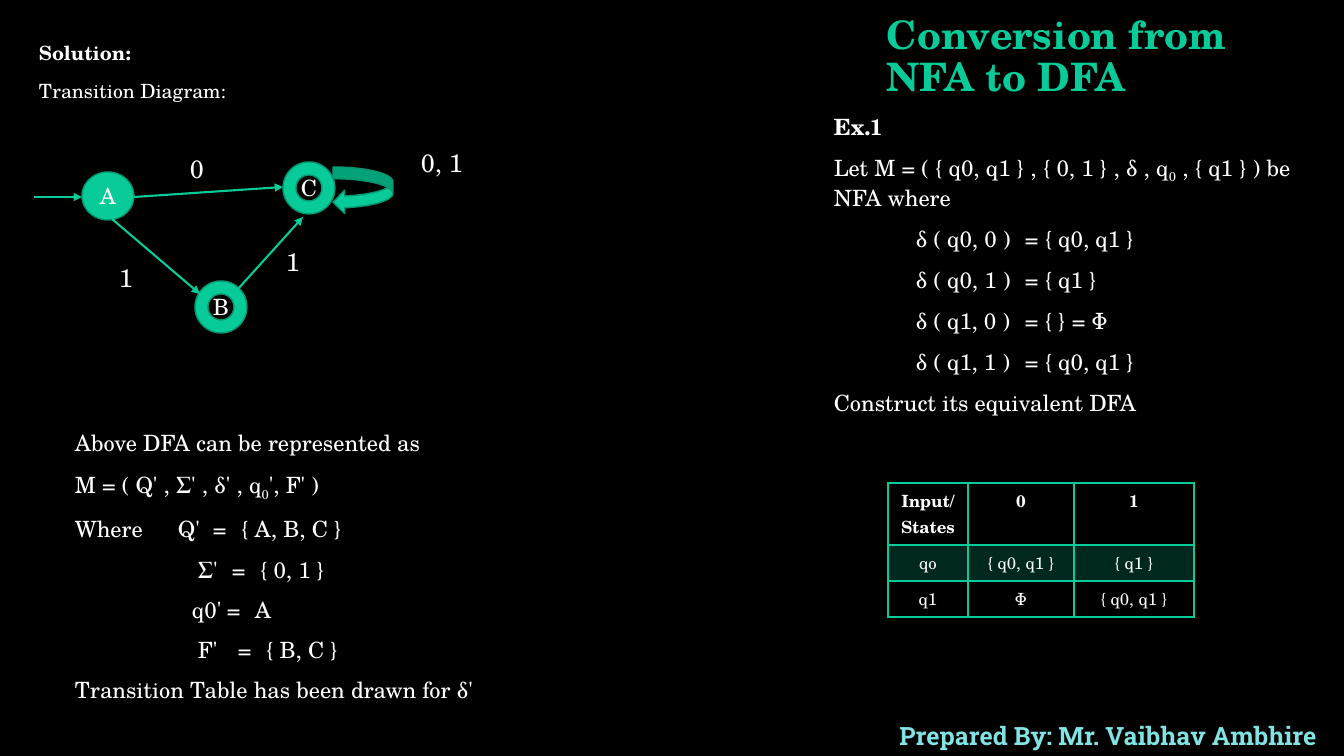
from lxml.etree import SubElement
from pptx import Presentation
from pptx.dml.color import RGBColor
from pptx.enum.shapes import MSO_CONNECTOR as Link, MSO_SHAPE as Shape
from pptx.enum.text import MSO_ANCHOR as Anchor, PP_ALIGN as Align
from pptx.oxml.ns import qn
from pptx.util import Emu, Pt

SERIF, SLAB = "TeX Gyre Schola", "Roboto Slab"
GREEN, DARK_GREEN, AQUA = "07CB98", "059670", "82E3E3"
WHITE, BLACK = "FFFFFF", "000000"


def px(length):
    """Turn pixels into EMU."""
    return Emu(round(length * 914400 / 100.8))


def paint(target, color):
    """Give a fill or a line format one solid colour."""
    fill = target if hasattr(target, "solid") else target.fill
    fill.solid()
    fill.fore_color.rgb = RGBColor.from_string(color)


def add_tabs(paragraph, stops):
    """Set left tab stops on a paragraph."""
    tab_list = SubElement(paragraph._p.get_or_add_pPr(), qn("a:tabLst"))
    for stop in stops:
        SubElement(tab_list, qn("a:tab"), pos=str(px(stop)), algn="l")


def write(paragraph, text, size=16, bold=False, color=WHITE, font=SERIF,
          align=Align.LEFT, spacing=1.0, before=0, tabs=()):
    """Fill a paragraph; the parts between bars become subscripts."""
    if tabs:
        add_tabs(paragraph, tabs)
    for index, part in enumerate(text.split("|")):
        run = paragraph.add_run()
        run.text = part
        if index % 2:
            run.font._element.set("baseline", "-25000")
    paragraph.alignment = align
    paragraph.line_spacing = spacing
    paragraph.space_before = Pt(before)
    paragraph.font.name = font
    paragraph.font.size = Pt(size)
    paragraph.font.bold = bold
    paragraph.font.color.rgb = RGBColor.from_string(color)


def add_text(slide, box, lines, anchor=Anchor.TOP, **common):
    """Add a text box from pairs of a text and its own style."""
    frame = slide.shapes.add_textbox(*map(px, box)).text_frame
    frame.word_wrap = True
    frame.vertical_anchor = anchor
    for index, (text, style) in enumerate(lines):
        paragraph = frame.add_paragraph() if index else frame.paragraphs[0]
        write(paragraph, text, **{**common, **style})


def add_figure(slide, kind, box, label=""):
    """Add a green shape of the transition diagram."""
    figure = slide.shapes.add_shape(kind, *map(px, box))
    figure.shadow.inherit = False
    paint(figure.fill, GREEN)
    paint(figure.line, DARK_GREEN)
    figure.line.width = Pt(1)
    if label:
        figure.text_frame.vertical_anchor = Anchor.MIDDLE
        write(figure.text_frame.paragraphs[0], label, align=Align.CENTER)


def add_arrow(slide, *ends):
    """Add a transition arrow given by its two end points."""
    arrow = slide.shapes.add_connector(Link.STRAIGHT, *map(px, ends))
    paint(arrow.line, GREEN)
    arrow.line.width = Pt(1.5)
    SubElement(arrow.line._get_or_add_ln(), qn("a:tailEnd"), type="triangle")
    SubElement(arrow._element.spPr, qn("a:effectLst"))


def add_border(cell, bottom):
    """Draw green borders around a table cell."""
    properties = cell._tc.get_or_add_tcPr()
    for side, width in (("L", 1), ("R", 1), ("T", 1), ("B", bottom)):
        line = SubElement(properties, qn(f"a:ln{side}"), w=str(Pt(width)))
        solid = SubElement(line, qn("a:solidFill"))
        SubElement(solid, qn("a:srgbClr"), val=GREEN)


def add_transition_table(slide, box, widths, heights, rows):
    """Add the transition table with its tinted first state row."""
    table = slide.shapes.add_table(len(rows), len(widths), *map(px, box)).table
    table.first_row = table.horz_banding = False
    for column, width in zip(table.columns, widths):
        column.width = px(width)
    for r, texts in enumerate(rows):
        table.rows[r].height = px(heights[r])
        for c, text in enumerate(texts):
            cell = table.cell(r, c)
            write(cell.text_frame.paragraphs[0], text, size=12, bold=r == 0,
                  align=Align.CENTER)
            add_border(cell, 2 if r == 0 else 1)
            if r == 1:
                paint(cell.fill, GREEN)
                tint = cell._tc.tcPr.find(qn("a:solidFill"))[0]
                SubElement(tint, qn("a:alpha"), val="20000")
            else:
                cell.fill.background()


def add_diagram(slide):
    """Draw the states, transitions and input labels."""
    add_figure(slide, Shape.OVAL, (82, 172, 52, 48), "A")
    add_figure(slide, Shape.DONUT, (195, 281, 52, 52), "B")
    add_figure(slide, Shape.DONUT, (283, 162, 52, 52), "C")
    add_figure(slide, Shape.CURVED_LEFT_ARROW, (333, 167, 60, 47))
    for ends in ((34, 197, 82, 197), (134, 197, 283, 187),
                 (112, 219, 200, 294), (238, 289, 303, 217)):
        add_arrow(slide, *ends)
    for text, left, top, width in (("0", 180, 148, 33), ("1", 109, 257, 33),
                                   ("1", 276, 241, 33), ("0, 1", 411, 142, 69)):
        add_text(slide, (left, top, width, 40), [(text, {})], size=18)


def main():
    """Build the slide and save it."""
    deck = Presentation()
    deck.slide_width, deck.slide_height = px(1344), px(756)
    slide = deck.slides.add_slide(deck.slide_layouts[6])
    paint(slide.background.fill, BLACK)

    add_text(slide, (871, 715, 474, 40),
             [("Prepared By: Mr. Vaibhav Ambhire", {})], size=18, bold=True,
             color=AQUA, font=SLAB, align=Align.CENTER)
    add_text(slide, (877, 7, 421, 101), [("Conversion from NFA to DFA", {})],
             Anchor.MIDDLE, size=28, bold=True, color=GREEN, spacing=0.9)
    add_text(slide, (29, 20, 742, 90), [
        ("Solution:", {"bold": True, "spacing": 1.7, "before": 18}),
        ("Transition Diagram:", {"before": 10})], size=14)

    moves = (("q0, 0", "{ q0, q1 }"), ("q0, 1", "{ q1 }"),
             ("q1, 0", "{ } = Φ"), ("q1, 1", "{ q0, q1 }"))
    add_text(slide, (824, 108, 512, 313), [
        ("Ex.1", {"bold": True}),
        ("Let M = ( { q0, q1 } , { 0, 1 } , δ , q|0| , { q1 } ) be NFA where", {}),
        *((f"\tδ ( {pair} )\t= {result}", {"tabs": (82, 191)})
          for pair, result in moves),
        ("Construct its equivalent DFA", {})], before=10)
    add_transition_table(
        slide, (888, 483, 306, 135), (80, 106, 120), (62, 36, 36),
        (("Input/States", "0", "1"), ("qo", "{ q0, q1 }", "{ q1 }"),
         ("q1", "Φ", "{ q0, q1 }")))

    add_diagram(slide)

    parts = (("Where\tQ'", "{ A, B, C }", 103, 138),
             ("\tΣ'", "{ 0, 1 }", 123, 157),
             ("\tq0'", "A", 117, 152), ("\tF'", "{ B, C }", 123, 163))
    add_text(slide, (65, 411, 450, 290), [
        ("Above DFA can be represented as", {}),
        ("M = ( Q' , Σ' , δ' , q|0|', F' )", {}),
        *((f"{name}\t=\t{value}", {"tabs": (start, equals, equals + 28)})
          for name, value, start, equals in parts),
        ("Transition Table has been drawn for δ'", {})], spacing=1.5)
    deck.save("out.pptx")


if __name__ == "__main__":
    main()
